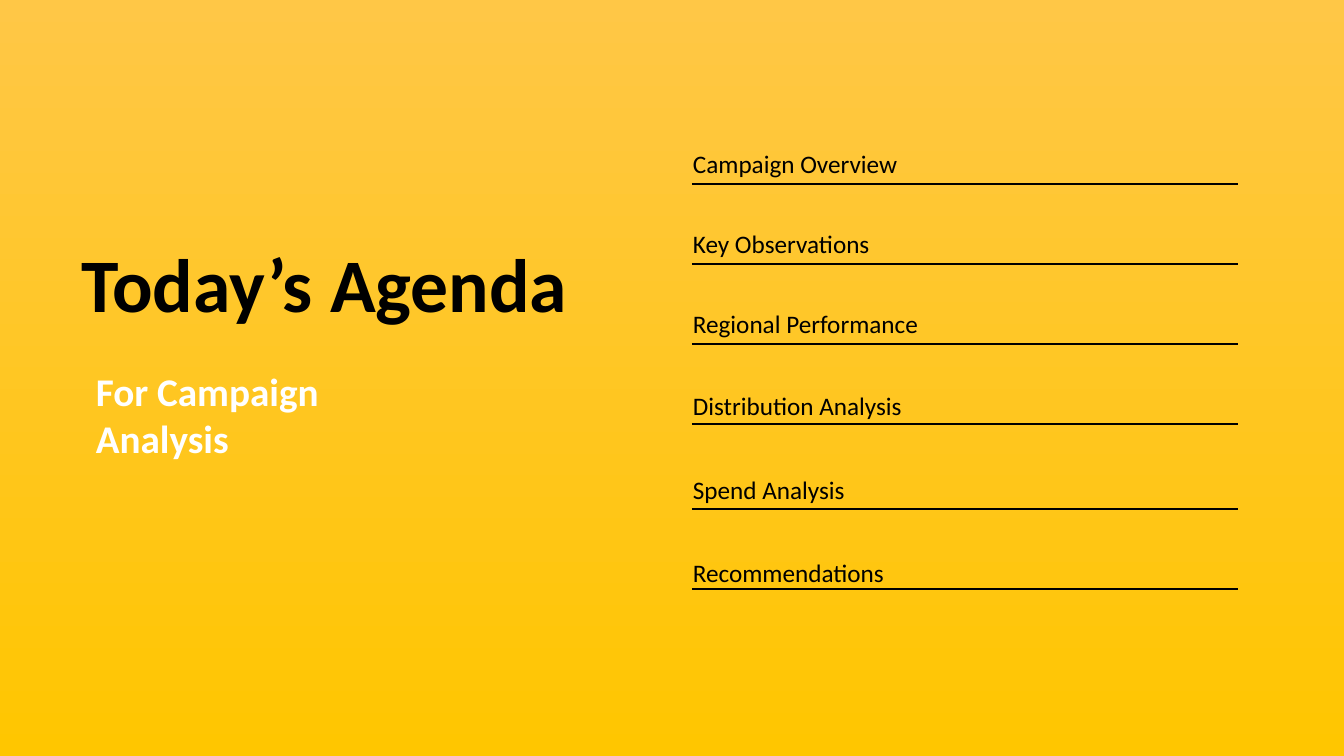
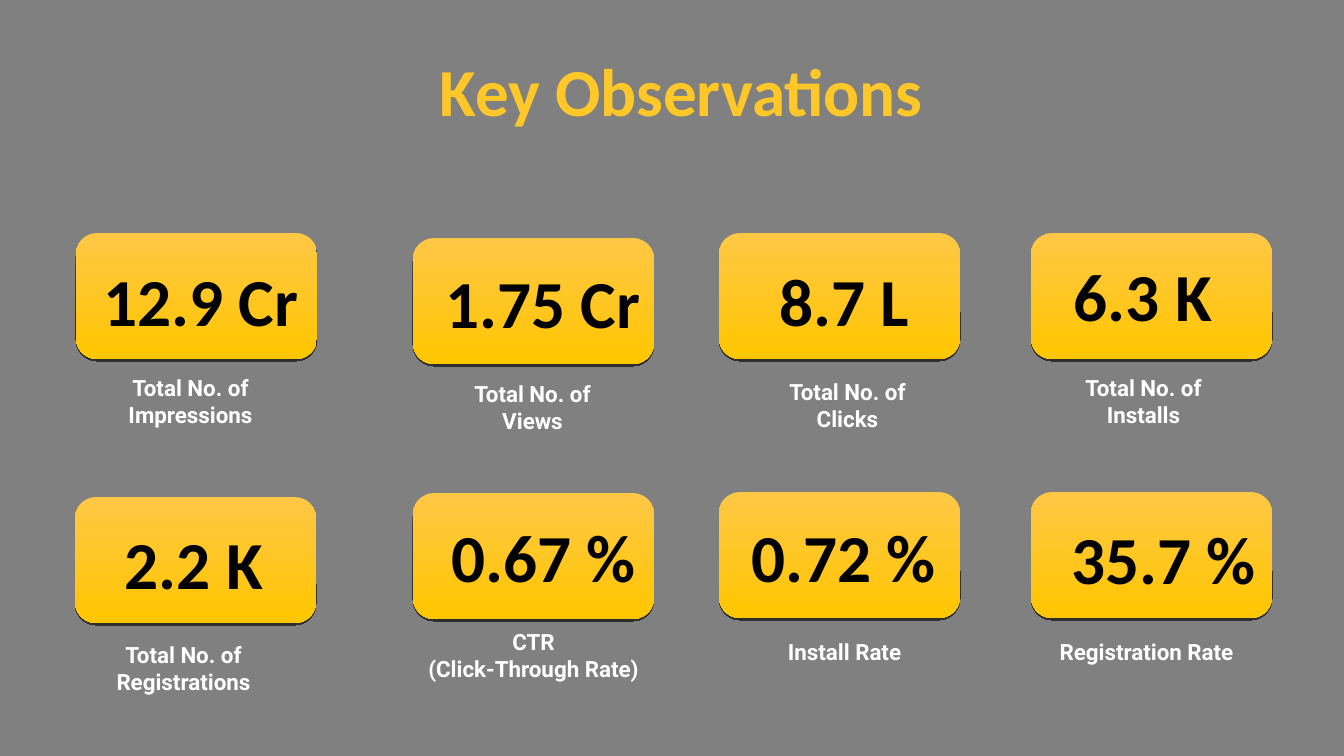
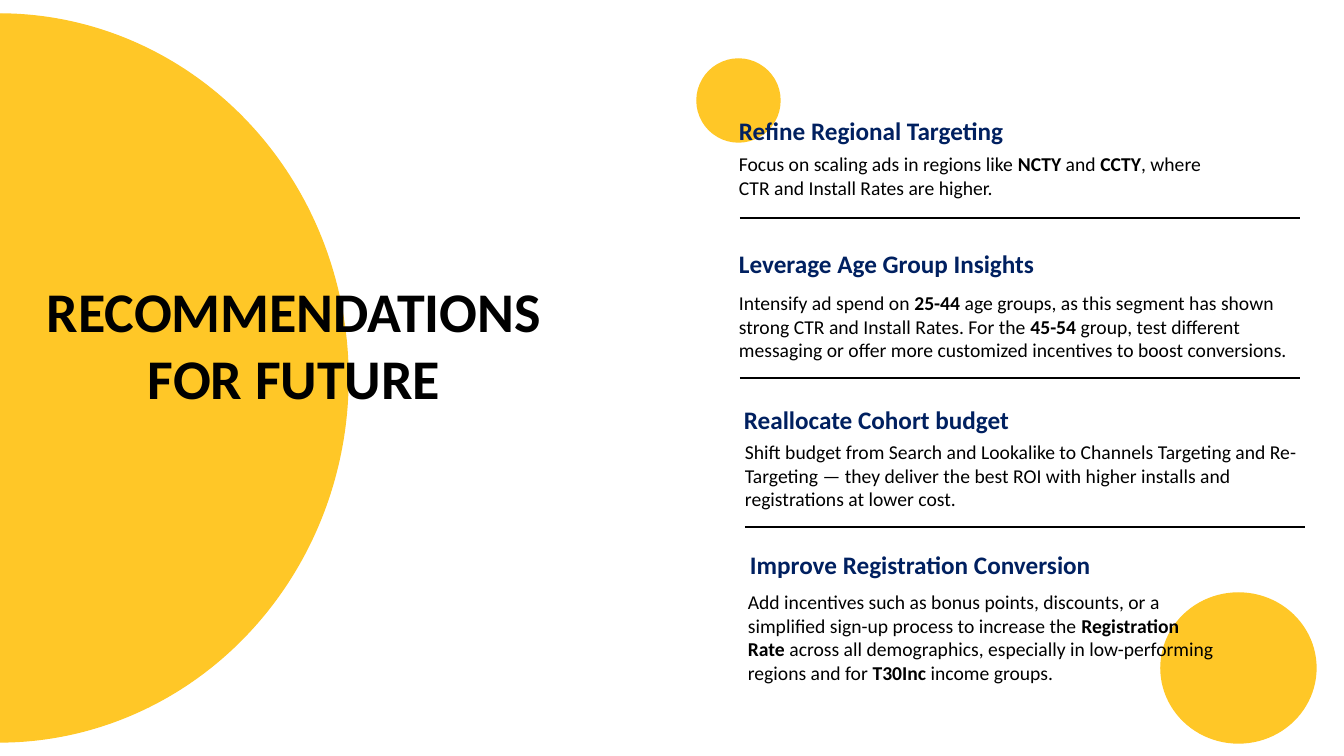
"""Builds three campaign analysis slides: agenda, key observations and recommendations."""
from dataclasses import dataclass

from lxml import etree
from pptx import Presentation
from pptx.dml.color import RGBColor
from pptx.enum.shapes import MSO_CONNECTOR, MSO_SHAPE
from pptx.enum.text import MSO_ANCHOR, MSO_AUTO_SIZE, PP_ALIGN
from pptx.oxml.ns import qn
from pptx.util import Pt

LEFT, CENTER = PP_ALIGN.LEFT, PP_ALIGN.CENTER
TOP, NO_FIT = MSO_ANCHOR.TOP, MSO_AUTO_SIZE.NONE
STRAIGHT = MSO_CONNECTOR.STRAIGHT
OVAL, ROUNDED = MSO_SHAPE.OVAL, MSO_SHAPE.ROUNDED_RECTANGLE
TITLE_ONLY = 5
EMU_PER_PX = 914400 / 100.8


@dataclass(frozen=True)
class Style:
    """Describes how one kind of text looks."""
    size: int
    color: str
    bold: bool = False
    align: PP_ALIGN = LEFT
    font: str = "Calibri"


@dataclass(frozen=True)
class Theme:
    """Holds the colours and text styles of all slides."""
    ink: str = "000000"
    gray: str = "808080"
    yellow: str = "FFC727"
    gradient: tuple = ("FFC746", "FFC600")
    agenda_title: Style = Style(54, "000000", True, CENTER)
    observations_title: Style = Style(48, "FFC727", True, CENTER)
    future_title: Style = Style(40, "000000", True, CENTER)
    subtitle: Style = Style(28, "FFFFFF", True)
    topic: Style = Style(18, "000000")
    figure: Style = Style(48, "000000", True, CENTER)
    caption: Style = Style(16, "FFFFFF", True, CENTER, "Roboto")
    heading: Style = Style(18, "002060", True)
    advice: Style = Style(14, "000000")


THEME = Theme()

TOPICS = [
    ("Campaign Overview", 143, 184),
    ("Key Observations", 223, 264),
    ("Regional Performance", 303, 344),
    ("Distribution Analysis", 385, 424),
    ("Spend Analysis", 469, 509),
    ("Recommendations", 552, 589),
]

METRICS = [
    ("12.9 Cr", "Total No. of\nImpressions", (76, 233), (29, 254), (30, 369)),
    ("1.75 Cr", "Total No. of\nViews", (413, 238), (371, 256), (372, 375)),
    ("8.7 L", "Total No. of\nClicks", (719, 233), (672, 254), (687, 373)),
    ("6.3 K", "Total No. of\nInstalls", (1031, 233), (971, 249), (983, 369)),
    ("2.2 K", "Total No. of\nRegistrations", (75, 497), (22, 517), (23, 636)),
    ("0.67 %", "CTR\n(Click-Through Rate)", (413, 493), (372, 510), (373, 623)),
    ("0.72 %", "Install Rate", (719, 492), (672, 510), (684, 633)),
    ("35.7 %", "Registration Rate", (1031, 492), (992, 512), (986, 633)),
]

ADVICE = [
    ("Refine Regional Targeting", (729, 110),
     "Focus on scaling ads in regions like *NCTY* and *CCTY*, where CTR and Install "
     "Rates are higher.", (729, 147, 505, 57), 218),
    ("Leverage Age Group Insights", (729, 243),
     "Intensify ad spend on *25-44* age groups, as this segment has shown strong CTR "
     "and Install Rates. For the *45-54* group, test different messaging or offer more "
     "customized incentives to boost conversions.", (729, 286, 595, 82), 378),
    ("Reallocate Cohort budget", (734, 399),
     "Shift budget from Search and Lookalike to Channels Targeting and Re-Targeting — "
     "they deliver the best ROI with higher installs and registrations at lower cost.",
     (735, 435, 572, 82), 527),
    ("Improve Registration Conversion", (740, 544),
     "Add incentives such as bonus points, discounts, or a simplified sign-up process "
     "to increase the *Registration Rate* across all demographics, especially in "
     "low-performing regions and for *T30Inc* income groups.", (738, 585, 487, 105), None),
]


def px(*lengths):
    """Turns px lengths into EMU."""
    return [round(length * EMU_PER_PX) for length in lengths]


def rgb(color):
    """Makes a colour from its hex digits."""
    return RGBColor.from_string(color)


def fill_gradient(fill):
    """Fills with the yellow gradient from top to bottom."""
    fill.gradient()
    fill.gradient_angle = 270
    for stop, color in zip(fill.gradient_stops, THEME.gradient):
        stop.color.rgb = rgb(color)


def format_paragraph(paragraph, style):
    """Applies a text style to a paragraph."""
    paragraph.alignment = style.align
    font = paragraph.font
    font.name, font.size, font.bold = style.font, Pt(style.size), style.bold
    font.color.rgb = rgb(style.color)


def set_frame(frame):
    """Makes a text frame wrap from the top without resizing."""
    frame.word_wrap = True
    frame.auto_size = NO_FIT
    frame.vertical_anchor = TOP


def add_text(slide, text, box, style):
    """Adds text with one paragraph a line and bold between asterisks."""
    frame = slide.shapes.add_textbox(*px(*box)).text_frame
    set_frame(frame)
    for index, line in enumerate(text.split("\n")):
        paragraph = frame.add_paragraph() if index else frame.paragraphs[0]
        format_paragraph(paragraph, style)
        for position, piece in enumerate(line.split("*")):
            run = paragraph.add_run()
            run.text = piece
            if position % 2:
                run.font.bold = True


def set_title(slide, text, box, style):
    """Places the title placeholder in front of the shapes added so far."""
    title = slide.shapes.title
    title.left, title.top, title.width, title.height = px(*box)
    set_frame(title.text_frame)
    paragraph = title.text_frame.paragraphs[0]
    paragraph.text = text
    format_paragraph(paragraph, style)
    title.element.getparent().append(title.element)


def add_rule(slide, left, top, width):
    """Adds a thin horizontal rule."""
    rule = slide.shapes.add_connector(STRAIGHT, *px(left, top, left + width, top))
    rule.line.color.rgb = rgb(THEME.ink)
    rule.line.width = Pt(1.5)
    etree.SubElement(rule.element.spPr, qn("a:effectLst"))


def add_disc(slide, *box):
    """Adds a plain yellow disc."""
    disc = slide.shapes.add_shape(OVAL, *px(*box))
    disc.shadow.inherit = False
    disc.fill.solid()
    disc.fill.fore_color.rgb = disc.line.color.rgb = rgb(THEME.yellow)
    disc.line.width = Pt(1)


def add_card(slide, left, top):
    """Adds a gradient card with a narrow dark shadow below."""
    card = slide.shapes.add_shape(ROUNDED, *px(left, top, 241, 126))
    fill_gradient(card.fill)
    card.line.fill.background()
    card.shadow.inherit = False
    effects = card.element.spPr.find(qn("a:effectLst"))
    shadow = etree.SubElement(effects, qn("a:outerShdw"), blurRad="0",
                              dist=str(Pt(1.5)), dir="5400000", rotWithShape="0")
    color = etree.SubElement(shadow, qn("a:srgbClr"), val=THEME.ink)
    etree.SubElement(color, qn("a:alpha"), val="63000")


def build_agenda(slide):
    """Lists the topics on a gradient background."""
    fill_gradient(slide.background.fill)
    set_title(slide, "Today’s Agenda", (49, 232, 551, 102), THEME.agenda_title)
    add_text(slide, "For Campaign Analysis", (86, 362, 321, 105), THEME.subtitle)
    for topic, top, rule_top in TOPICS:
        add_text(slide, topic, (683, top, 546, 40), THEME.topic)
        add_rule(slide, 692, rule_top, 546)


def build_observations(slide):
    """Shows each metric as a card with a caption."""
    background = slide.background.fill
    background.solid()
    background.fore_color.rgb = rgb(THEME.gray)
    set_title(slide, "Key Observations", (57, 44, 1249, 92), THEME.observations_title)
    for figure, caption, card_at, figure_at, caption_at in METRICS:
        add_card(slide, *card_at)
        add_text(slide, figure, (*figure_at, 344, 92), THEME.figure)
        add_text(slide, caption, (*caption_at, 321, 64), THEME.caption)


def build_recommendations(slide):
    """Sets out the advice beside the large disc."""
    add_disc(slide, -350, 14, 698, 728)
    add_disc(slide, 697, 59, 83, 83)
    add_disc(slide, 1161, 593, 155, 150)
    set_title(slide, "RECOMMENDATIONS\nFOR FUTURE", (20, 271, 548, 146), THEME.future_title)
    for heading, (left, top), advice, advice_box, rule_top in ADVICE:
        add_text(slide, heading, (left, top, 560, 40), THEME.heading)
        add_text(slide, advice, advice_box, THEME.advice)
        if rule_top:
            add_rule(slide, left + 11, rule_top, 560)


def main():
    """Builds and saves the presentation."""
    deck = Presentation()
    deck.slide_width, deck.slide_height = px(1344, 756)
    for build in (build_agenda, build_observations, build_recommendations):
        build(deck.slides.add_slide(deck.slide_layouts[TITLE_ONLY]))
    deck.save("out.pptx")


if __name__ == "__main__":
    main()
